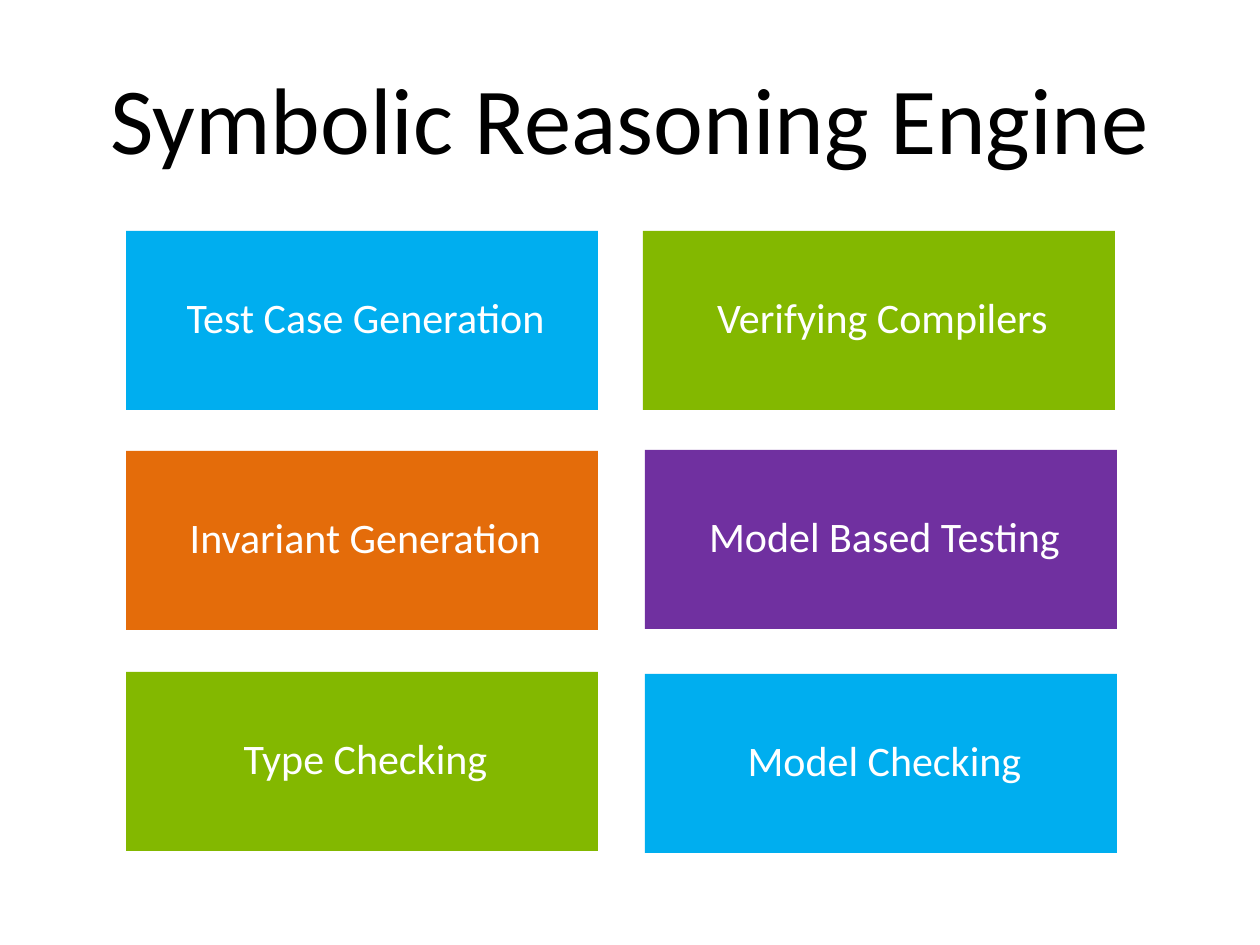
from dataclasses import dataclass

from pptx import Presentation
from pptx.dml.color import RGBColor
from pptx.enum.shapes import MSO_SHAPE as Shape
from pptx.enum.text import MSO_ANCHOR as Anchor, PP_ALIGN as Align
from pptx.slide import Slide
from pptx.text.text import TextFrame
from pptx.util import Emu, Pt

PIXEL = 914400 // 126


@dataclass(frozen=True)
class Theme:
    font: str = "Calibri"
    title_size: int = 54
    tile_size: int = 24
    black: str = "000000"
    white: str = "FFFFFF"
    blue: str = "00AEEF"
    green: str = "83B800"
    purple: str = "7030A0"
    orange: str = "E46C0A"


@dataclass(frozen=True)
class Tile:
    label: str
    left: int
    top: int
    fill: str


THEME = Theme()
TILE_WIDTH, TILE_HEIGHT = 472, 179
TILE_INSETS = {"margin_left": 13, "margin_top": 6,
               "margin_right": 6, "margin_bottom": 13}

TILES = [
    Tile("Test Case Generation", 126, 231, THEME.blue),
    Tile("Verifying Compilers", 643, 231, THEME.green),
    Tile("Invariant Generation", 126, 451, THEME.orange),
    Tile("Model Based Testing", 645, 450, THEME.purple),
    Tile("Type Checking", 126, 672, THEME.green),
    Tile("Model Checking", 645, 674, THEME.blue),
]


def px(length: int) -> Emu:
    return Emu(length * PIXEL)


def apply(target: object, values: dict) -> None:
    for name, value in values.items():
        setattr(target, name, value)


def write(frame: TextFrame, text: str, size: int, color: str) -> None:
    apply(frame, {"word_wrap": True, "vertical_anchor": Anchor.MIDDLE})
    para = frame.paragraphs[0]
    para.alignment = Align.CENTER
    span = para.add_run()
    span.text = text
    apply(span.font, {"name": THEME.font, "size": Pt(size)})
    span.font.color.rgb = RGBColor.from_string(color)


def draw_title(page: Slide, text: str) -> None:
    box = page.shapes.add_textbox(px(63), px(38), px(1134), px(157))
    write(box.text_frame, text, THEME.title_size, THEME.black)


def draw_tile(page: Slide, tile: Tile) -> None:
    box = page.shapes.add_shape(Shape.RECTANGLE, px(tile.left), px(tile.top),
                                px(TILE_WIDTH), px(TILE_HEIGHT))
    box.shadow.inherit = False
    box.fill.solid()
    box.fill.fore_color.rgb = RGBColor.from_string(tile.fill)
    box.line.fill.background()
    apply(box.text_frame, {name: px(inset) for name, inset in TILE_INSETS.items()})
    write(box.text_frame, tile.label, THEME.tile_size, THEME.white)


# Deck and blank page
deck = Presentation()
apply(deck, {"slide_width": px(1260), "slide_height": px(945)})
page = deck.slides.add_slide(deck.slide_layouts[6])

# Heading and application tiles
draw_title(page, "Symbolic Reasoning Engine")
for tile in TILES:
    draw_tile(page, tile)

deck.save("out.pptx")
